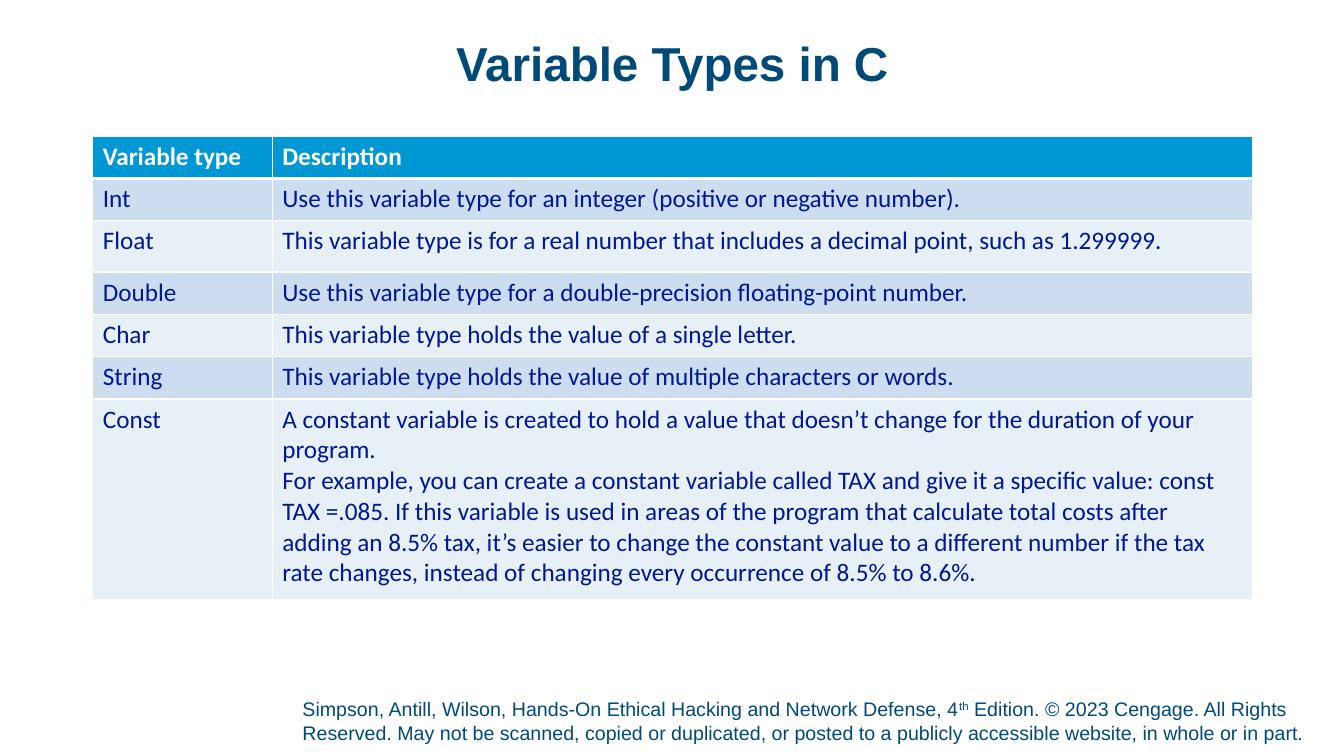
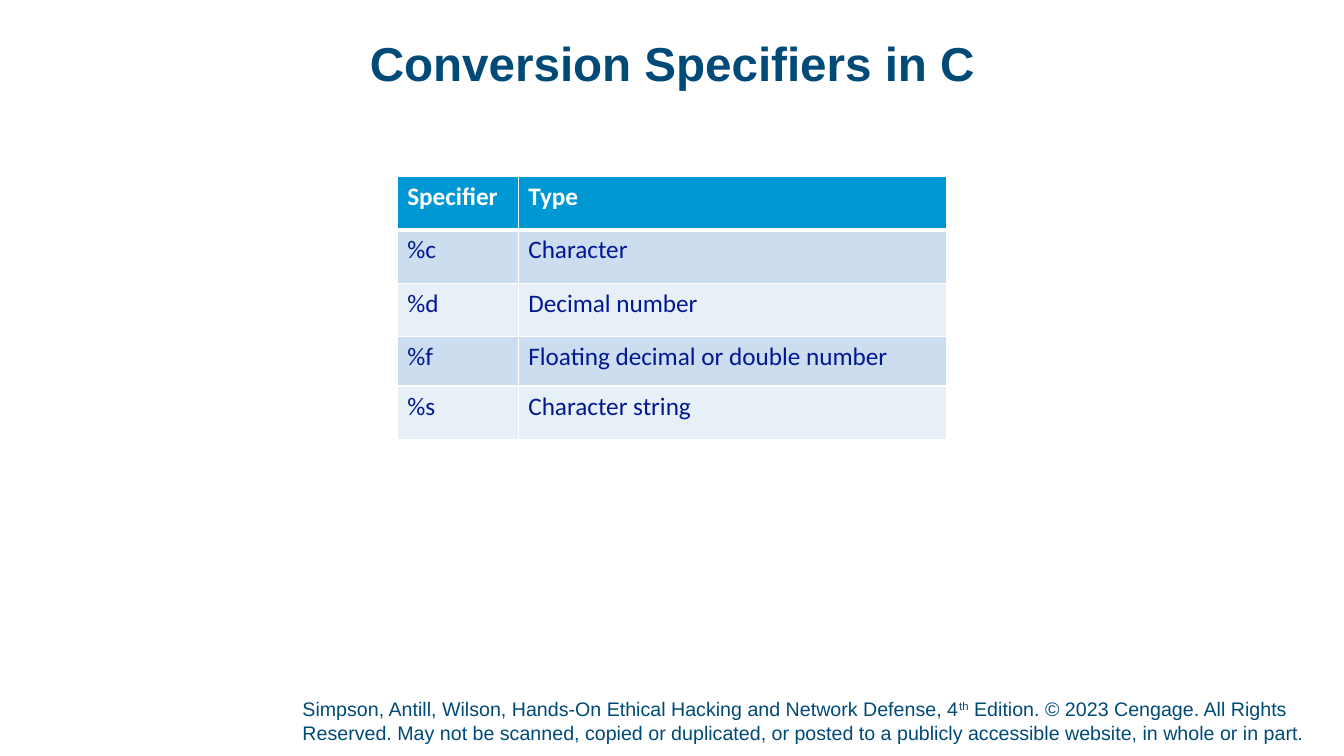
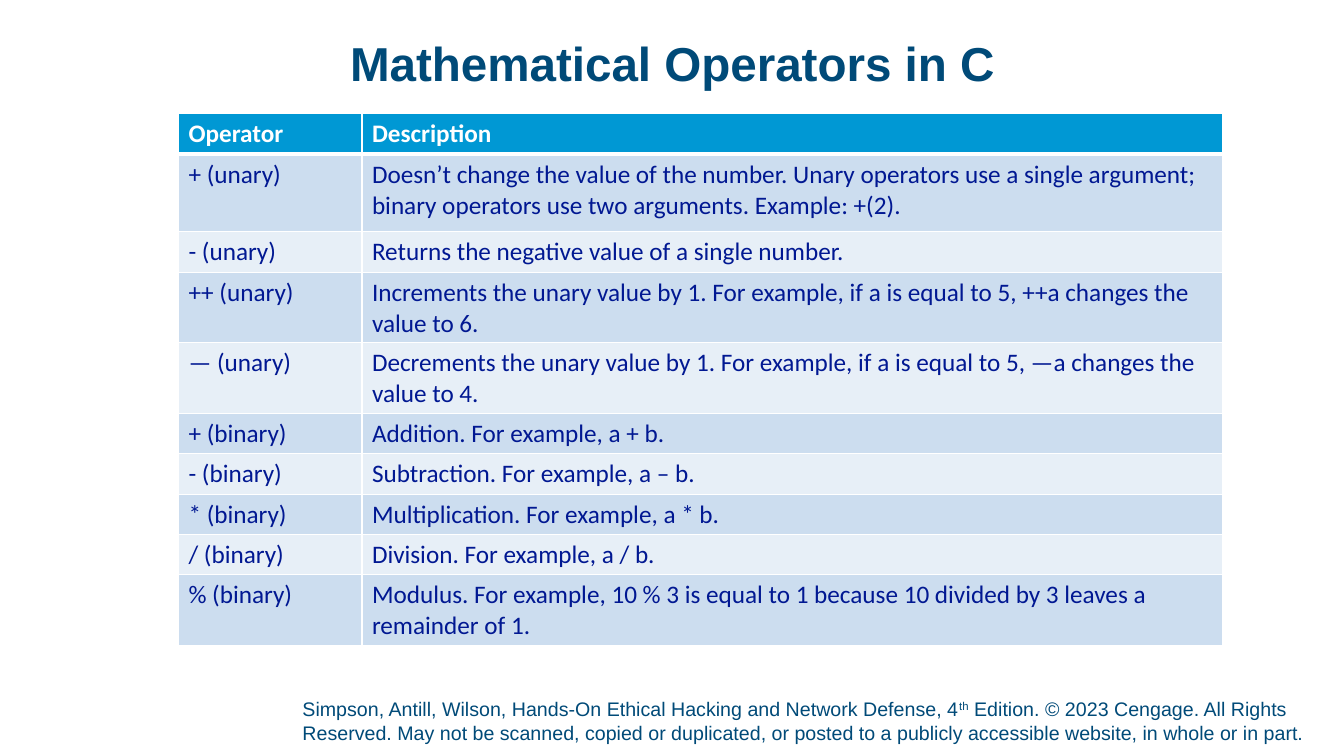
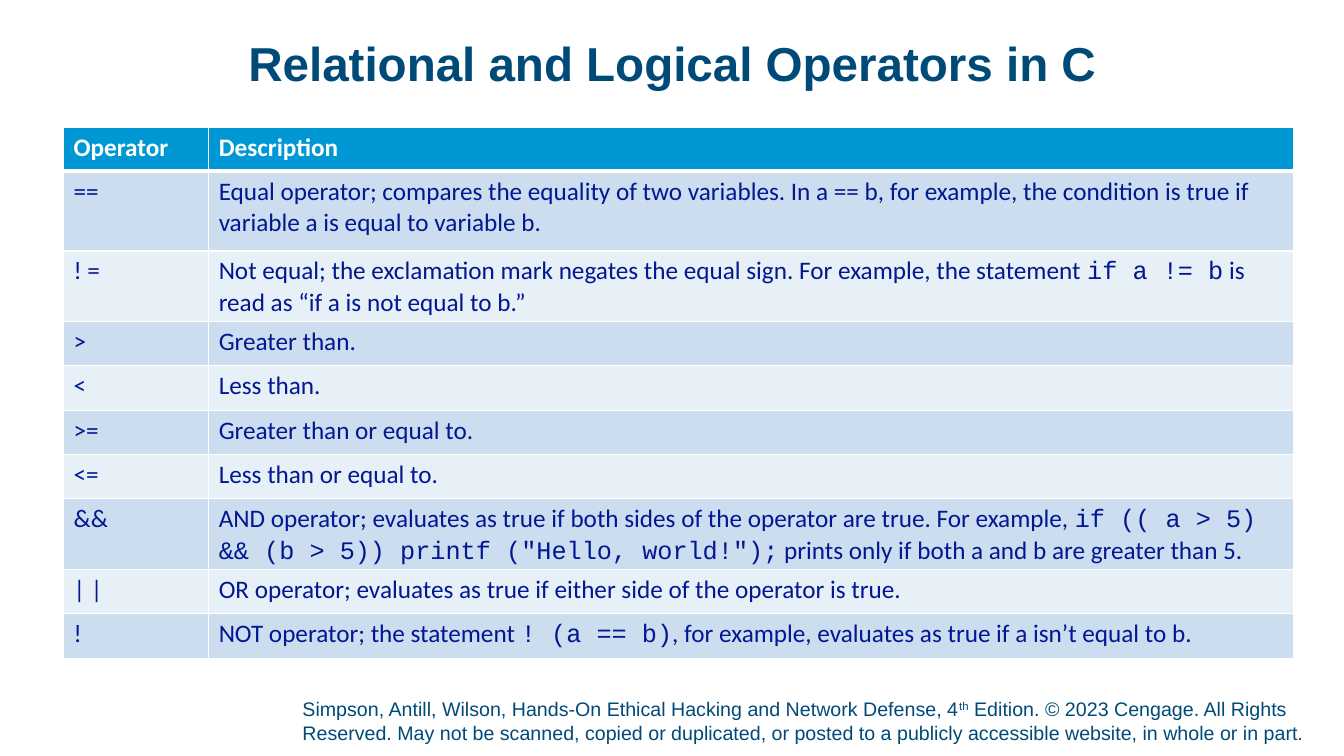
from dataclasses import dataclass
from typing import NamedTuple

from lxml import etree
from pptx import Presentation
from pptx.dml.color import RGBColor
from pptx.enum.text import MSO_ANCHOR, PP_ALIGN
from pptx.oxml.ns import qn
from pptx.util import Pt

PX = 9144
BLANK_LAYOUT = 6
LEFT, CENTER = PP_ALIGN.LEFT, PP_ALIGN.CENTER
TOP, BOTTOM = MSO_ANCHOR.TOP, MSO_ANCHOR.BOTTOM


@dataclass(frozen=True)
class Theme:
    navy: str = "004A78"
    ink: str = "011892"
    header: str = "0098D4"
    bands: tuple = ("CCDDEF", "E7EFF7")
    white: str = "FFFFFF"
    heading_font: str = "Arial"
    table_font: str = "Calibri"
    code_font: str = "Courier New"
    title_size: int = 34
    table_size: int = 18
    footer_size: int = 14
    thin: int = 1
    thick: int = 3


THEME = Theme()


class Span(NamedTuple):
    text: str
    font: str = ""
    baseline: int = 0


def code(text):
    return Span(text, font=THEME.code_font)


FOOTER = [
    "Simpson, Antill, Wilson, Hands-On Ethical Hacking and Network Defense, 4",
    Span("th", baseline=30000),
    " Edition. © 2023 Cengage. All Rights Reserved. May not be scanned, copied or duplicated, "
    "or posted to a publicly accessible website, in whole or in part.",
]


def write(frame, text, *, font, size, color, bold=False, align=LEFT, spacing=None):
    spans = [text] if isinstance(text, str) else text
    para = frame.paragraphs[0]
    para.alignment, para.line_spacing = align, spacing
    for item in spans:
        span = Span(item) if isinstance(item, str) else item
        for index, line in enumerate(span.text.split("\n")):
            if index:
                para = frame.add_paragraph()
                para.alignment, para.line_spacing = align, spacing
            run = para.add_run()
            run.text = line
            run.font.name = span.font or font
            run.font.size = Pt(size)
            run.font.bold = bold
            run.font.color.rgb = RGBColor.from_string(color)
            if span.baseline:
                run._r.get_or_add_rPr().set("baseline", str(span.baseline))


def draw_border(cell, side, width):
    properties = cell._tc.get_or_add_tcPr()
    line = etree.SubElement(properties, qn(f"a:ln{side}"), w=str(Pt(width)))
    fill = etree.SubElement(line, qn("a:solidFill"))
    etree.SubElement(fill, qn("a:srgbClr"), val=THEME.white)


class DeckBuilder:
    def __init__(self, theme):
        self.theme = theme
        self.deck = Presentation()
        self.deck.slide_width, self.deck.slide_height = 1333 * PX, 750 * PX
        self.page = None

    def add_page(self, title):
        theme = self.theme
        self.page = self.deck.slides.add_slide(self.deck.slide_layouts[BLANK_LAYOUT])
        self.add_text(300, 691, 996, 52, FOOTER, anchor=BOTTOM, inset=5,
                      font=theme.heading_font, size=theme.footer_size, color=theme.navy)
        self.add_text(92, 40, 1150, 74, title, font=theme.heading_font, size=theme.title_size,
                      color=theme.navy, bold=True, align=CENTER, spacing=0.9)

    def add_text(self, left, top, width, height, text, anchor=TOP, inset=0, **style):
        box = self.page.shapes.add_textbox(left * PX, top * PX, width * PX, height * PX)
        frame = box.text_frame
        frame.word_wrap = True
        frame.vertical_anchor = anchor
        frame.margin_left = frame.margin_top = frame.margin_right = 0
        frame.margin_bottom = inset * PX
        write(frame, text, **style)

    def add_table(self, left, top, widths, row_height, rows, special_heights=None):
        heights = [row_height] * len(rows)
        for index, height in (special_heights or {}).items():
            heights[index] = height
        table = self.page.shapes.add_table(
            len(rows), len(widths), left * PX, top * PX, sum(widths) * PX, sum(heights) * PX
        ).table
        table.horz_banding = False
        for column, width in zip(table.columns, widths):
            column.width = width * PX
        for index, (row, height, texts) in enumerate(zip(table.rows, heights, rows)):
            row.height = height * PX
            for cell, text in zip(row.cells, texts):
                self.fill_cell(cell, text, index)

    def fill_cell(self, cell, text, row_index):
        theme = self.theme
        is_header = row_index == 0
        for side in "LRTB":
            under_header = (row_index, side) in ((0, "B"), (1, "T"))
            draw_border(cell, side, theme.thick if under_header else theme.thin)
        cell.fill.solid()
        color = theme.header if is_header else theme.bands[(row_index - 1) % 2]
        cell.fill.fore_color.rgb = RGBColor.from_string(color)
        write(cell.text_frame, text, font=theme.table_font, size=theme.table_size,
              color=theme.white if is_header else theme.ink, bold=is_header)


def add_variable_types(builder):
    builder.add_page("Variable Types in C")
    builder.add_table(92, 135, (178, 972), 42, [
        ("Variable type", "Description"),
        ("Int", "Use this variable type for an integer (positive or negative number)."),
        ("Float", "This variable type is for a real number that includes a decimal point, "
                  "such as 1.299999."),
        ("Double", "Use this variable type for a double-precision floating-point number."),
        ("Char", "This variable type holds the value of a single letter."),
        ("String", "This variable type holds the value of multiple characters or words."),
        ("Const", "A constant variable is created to hold a value that doesn’t change for the "
                  "duration of your program.\n"
                  "For example, you can create a constant variable called TAX and give it a "
                  "specific value: const TAX =.085. If this variable is used in areas of the "
                  "program that calculate total costs after adding an 8.5% tax, it’s easier to "
                  "change the constant value to a different number if the tax rate changes, "
                  "instead of changing every occurrence of 8.5% to 8.6%."),
    ], {2: 51, 6: 199})


def add_conversion_specifiers(builder):
    builder.add_page("Conversion Specifiers in C")
    builder.add_table(394, 175, (120, 425), 53, [
        ("Specifier", "Type"),
        ("%c", "Character"),
        ("%d", "Decimal number"),
        ("%f", "Floating decimal or double number"),
        ("%s", "Character string"),
    ], {3: 49})


def add_mathematical_operators(builder):
    builder.add_page("Mathematical Operators in C")
    builder.add_table(177, 113, (182, 854), 39, [
        ("Operator", "Description"),
        ("+ (unary)", "Doesn’t change the value of the number. Unary operators use a single "
                      "argument; binary operators use two arguments. Example: +(2)."),
        ("- (unary)", "Returns the negative value of a single number."),
        ("++ (unary)", "Increments the unary value by 1. For example, if a is equal to 5, "
                       "++a changes the value to 6."),
        ("— (unary)", "Decrements the unary value by 1. For example, if a is equal to 5, "
                      "—a changes the value to 4."),
        ("+ (binary)", "Addition. For example, a + b."),
        ("- (binary)", "Subtraction. For example, a – b."),
        ("* (binary)", "Multiplication. For example, a * b."),
        ("/ (binary)", "Division. For example, a / b."),
        ("% (binary)", "Modulus. For example, 10 % 3 is equal to 1 because 10 divided by 3 "
                       "leaves a remainder of 1."),
    ], {1: 77})


def add_relational_operators(builder):
    builder.add_page("Relational and Logical Operators in C")
    builder.add_table(63, 126, (144, 1076), 44, [
        ("Operator", "Description"),
        ("==", "Equal operator; compares the equality of two variables. In a == b, for example, "
               "the condition is true if variable a is equal to variable b."),
        ("! =", ["Not equal; the exclamation mark negates the equal sign. For example, "
                 "the statement ",
                 code("if a != b"),
                 " is read as “if a is not equal to b.”"]),
        (">", "Greater than."),
        ("<", "Less than."),
        (">=", "Greater than or equal to."),
        ("<=", "Less than or equal to."),
        ("&&", ["AND operator; evaluates as true if both sides of the operator are true. "
                "For example, ",
                code('if (( a > 5) && (b > 5)) printf ("Hello, world!");'),
                " prints only if both a and b are greater than 5."]),
        ("| |", "OR operator; evaluates as true if either side of the operator is true."),
        ("!", ["NOT operator; the statement ",
               code("! (a == b)"),
               ", for example, evaluates as true if a isn’t equal to b."]),
    ], {1: 79})


def main():
    builder = DeckBuilder(THEME)
    add_variable_types(builder)
    add_conversion_specifiers(builder)
    add_mathematical_operators(builder)
    add_relational_operators(builder)
    builder.deck.save("out.pptx")


if __name__ == "__main__":
    main()
